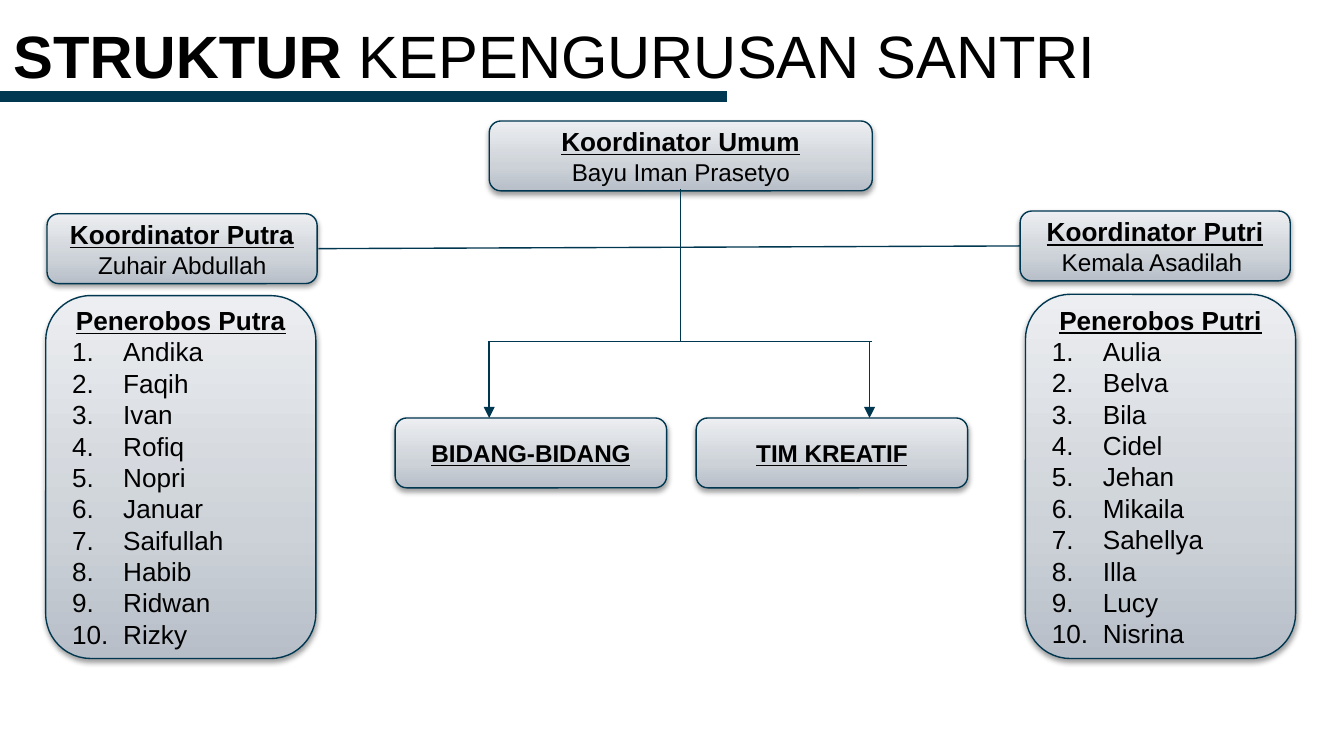
from pptx import Presentation, util as u
from pptx.dml.color import RGBColor
from pptx.enum import shapes, text
from pptx.oxml import parse_xml
from pptx.oxml.ns import nsdecls

COLORS = {"bar": "003852", "line": "003750", "ink": "000000",
          "bottom": "B7BEC8", "middle": "CDD2D8", "top": "ECEEF1"}
NS = nsdecls("a")
PUTRA = ["Andika", "Faqih", "Ivan", "Rofiq", "Nopri", "Januar",
         "Saifullah", "Habib", "Ridwan", "Rizky"]
PUTRI = ["Aulia", "Belva", "Bila", "Cidel", "Jehan", "Mikaila",
         "Sahellya", "Illa", "Lucy", "Nisrina"]


def style_font(font, size, strong=False):
    """Set the Arial font, with bold and underline for headings."""
    font.name, font.size = "Arial", u.Pt(size)
    font.bold = font.underline = strong
    font.color.rgb = RGBColor.from_string(COLORS["ink"])


def add_line(page, start, end, color="line", width=0.75, arrow=False):
    """Draw a straight line between two points in inches."""
    line = page.shapes.add_connector(
        shapes.MSO_CONNECTOR.STRAIGHT, *map(u.Inches, start + end))
    line.line.color.rgb = RGBColor.from_string(COLORS[color])
    line.line.width = u.Pt(width)
    if arrow:
        line.line._get_or_add_ln().append(
            parse_xml(f'<a:tailEnd {NS} type="triangle"/>'))
    line._element.spPr.append(parse_xml(f"<a:effectLst {NS}/>"))


def add_card(page, left, top, width, height):
    """Add a rounded card with a gradient, an outline and a soft shadow."""
    card = page.shapes.add_shape(
        shapes.MSO_SHAPE.ROUNDED_RECTANGLE,
        *map(u.Inches, (left, top, width, height)))
    card.line.color.rgb = RGBColor.from_string(COLORS["line"])
    card.line.width = u.Pt(0.75)
    stops = "".join(
        f'<a:gs pos="{place * 1000}"><a:srgbClr val="{COLORS[name]}"/></a:gs>'
        for place, name in ((0, "bottom"), (35, "middle"), (100, "top")))
    properties = card._element.spPr
    properties.insert(2, parse_xml(
        f'<a:gradFill {NS} rotWithShape="1"><a:gsLst>{stops}</a:gsLst>'
        '<a:lin ang="16200000" scaled="0"/></a:gradFill>'))
    properties.append(parse_xml(
        f'<a:effectLst {NS}><a:outerShdw blurRad="{u.Pt(3.1)}" '
        f'dist="{u.Pt(1.6)}" dir="5400000" rotWithShape="0">'
        f'<a:srgbClr val="{COLORS["ink"]}"><a:alpha val="38000"/></a:srgbClr>'
        '</a:outerShdw></a:effectLst>'))
    card.text_frame.word_wrap = True
    card.text_frame.vertical_anchor = text.MSO_ANCHOR.MIDDLE
    return card


def add_heading(card, heading, size):
    """Write the centred, underlined heading of a card."""
    para = card.text_frame.paragraphs[0]
    para.text = heading
    para.alignment = text.PP_ALIGN.CENTER
    style_font(para.runs[0].font, size, strong=True)


def add_role(page, box, heading, person=None):
    """Add a card with a role and, if given, the person who holds it."""
    card = add_card(page, *box)
    add_heading(card, heading, 14 if person else 13)
    if person:
        para = card.text_frame.add_paragraph()
        para.text = person
        para.alignment = text.PP_ALIGN.CENTER
        style_font(para.runs[0].font, 13)


def add_members(page, box, heading, members):
    """Add a card with a numbered list of members."""
    card = add_card(page, *box)
    add_heading(card, heading, 14)
    for member in members:
        para = card.text_frame.add_paragraph()
        para.text = member
        para.alignment = text.PP_ALIGN.LEFT
        properties = para._p.get_or_add_pPr()
        properties.set("marL", str(u.Inches(0.38)))
        properties.set("indent", str(-u.Inches(0.38)))
        properties.append(parse_xml(
            f'<a:buClr {NS}><a:srgbClr val="{COLORS["ink"]}"/></a:buClr>'))
        properties.append(parse_xml(
            f'<a:buAutoNum {NS} type="arabicPeriod"/>'))
        style_font(para.runs[0].font, 14)


def add_title(page, left, top, width, height):
    """Add the slide title with the thick bar below it."""
    box = page.shapes.add_textbox(*map(u.Inches, (left, top, width, height)))
    frame = box.text_frame
    frame.word_wrap = True
    frame.margin_top, frame.margin_bottom = 0, u.Inches(0.1)
    for words, bold in (("STRUKTUR", True), (" KEPENGURUSAN SANTRI", False)):
        span = frame.paragraphs[0].add_run()
        span.text = words
        style_font(span.font, 32)
        span.font.bold = bold
    bottom = top + height
    add_line(page, (left, bottom), (left + 5.41, bottom), "bar", 6)


def add_links(page, left, top, width, height):
    """Draw the trunk, the side link and the two arrows of the chart."""
    middle, right, fork = left + width / 2, left + width, top + 1.13
    add_line(page, (2.37, 1.85), (7.59, 1.83))
    add_line(page, (middle, top), (middle, fork))
    add_line(page, (left, fork), (right, fork))
    for across in (left, right - 0.02):
        add_line(page, (across, fork), (across, top + height), arrow=True)


def main():
    """Build the organisation chart and save it."""
    deck = Presentation()
    deck.slide_width = u.Inches(10)
    deck.slide_height = deck.slide_width * 9 // 16
    page = deck.slides.add_slide(deck.slide_layouts[6])
    add_title(page, 0, 0.14, 8.89, 0.58)
    add_role(page, (3.64, 0.9, 2.85, 0.52), "Koordinator Umum", "Bayu Iman Prasetyo")
    add_role(page, (0.35, 1.59, 2.01, 0.52), "Koordinator Putra", "Zuhair Abdullah")
    add_role(page, (7.59, 1.57, 2.01, 0.52), "Koordinator Putri", "Kemala Asadilah ")
    add_members(page, (0.34, 2.2, 2.01, 2.7), "Penerobos Putra", PUTRA)
    add_members(page, (7.63, 2.19, 2.01, 2.71), "Penerobos Putri", PUTRI)
    add_role(page, (2.94, 3.11, 2.02, 0.52), "BIDANG-BIDANG")
    add_role(page, (5.18, 3.11, 2.02, 0.52), "TIM KREATIF")
    add_links(page, 3.64, 1.41, 2.85, 1.7)
    deck.save("out.pptx")


if __name__ == "__main__":
    main()
